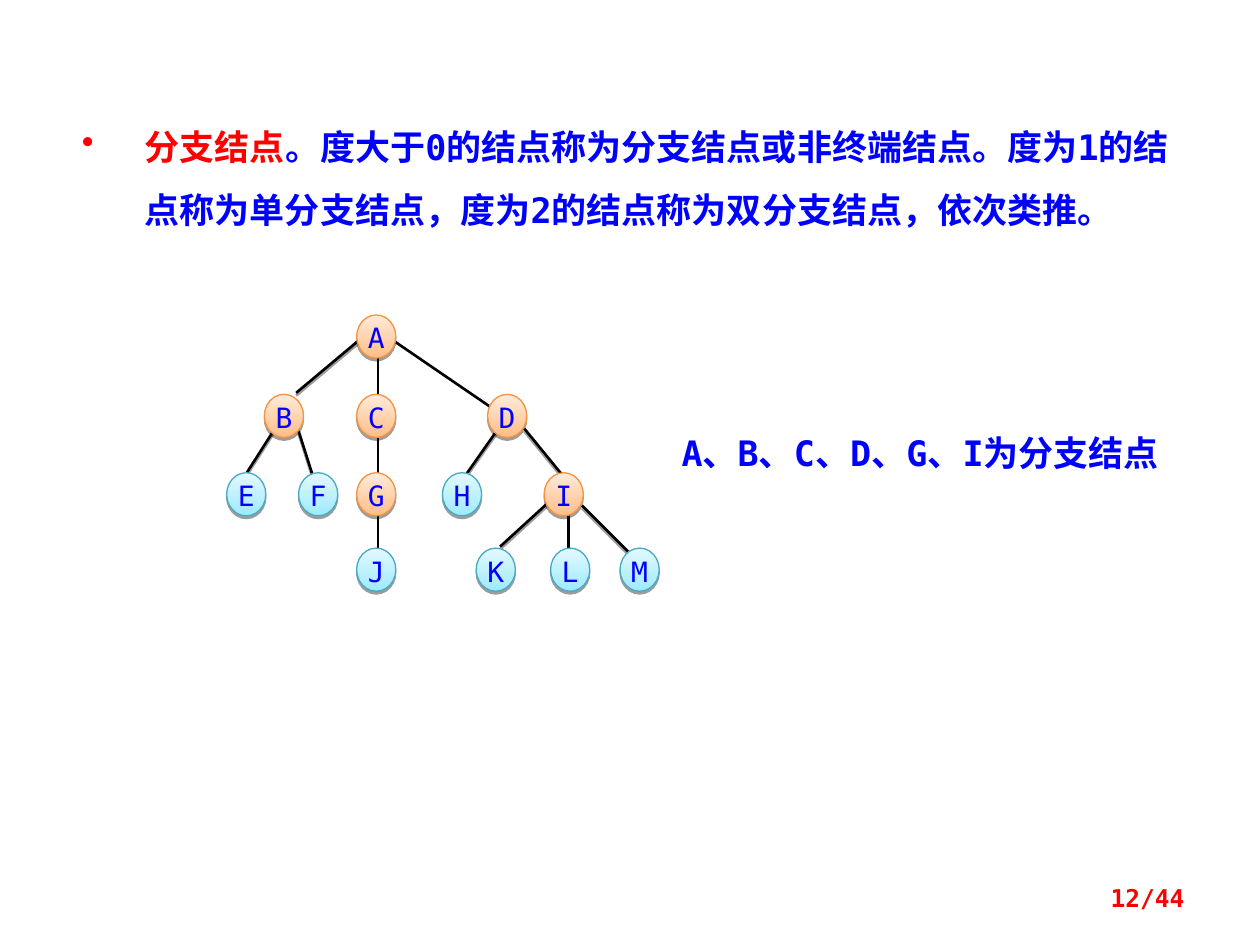
from lxml import etree
from pptx import Presentation
from pptx import util as u
from pptx.dml.color import RGBColor
from pptx.enum import shapes, text
from pptx.oxml import parse_xml
from pptx.oxml.ns import qn

# Theme
THEME = {
    "mono": "DejaVu Sans Mono", "cjk": "Noto Sans CJK SC",
    "red": "FF0000", "blue": "0000FF", "black": "000000",
    "branch": ("FFBE86", "FFEBDB", "F69240"),
    "leaf": ("9EEAFF", "E4F9FF", "46AAC5"),
    "body": 20, "node": 16, "page": 14,
}

# Content: runs are (words, colour, latin font)
RULE = [
    ("分支结点", "red", "cjk"),
    ("。度大于0的结点称为分支结点或非终端结点。度为1的结点称为单分支结点，"
     "度为2的结点称为双分支结点，依次类推。", "blue", "mono"),
]
NOTE = [("A、B、C、D、G、I为分支结点", "blue", "mono")]
PAGE = [("12/44", "red", "mono")]

# Tree, in cm: top of each level with the left edge of its nodes
LEVELS = [
    (6.35, {"A": 7.19}),
    (7.95, {"B": 5.33, "C": 7.19, "D": 9.83}),
    (9.53, {"E": 4.57, "F": 6.02, "G": 7.19, "H": 8.92, "I": 10.97}),
    (11.05, {"J": 7.19, "K": 9.6, "L": 11.1, "M": 12.5}),
]
BRANCH = "ABCDGI"
NODE = (0.79, 0.87)

# Edges: x1, y1, x2, y2 and whether a shadow is cast
EDGES = [
    (10.08, 8.59, 9.35, 9.63, True),      # D-H
    (10.57, 8.64, 11.38, 9.63, True),     # D-I
    (11.46, 10.36, 11.46, 11.18, False),  # I-L
    (11.73, 10.19, 12.67, 11.13, True),   # I-M
    (11.13, 10.06, 10.08, 11.02, True),   # I-K
    (6.02, 8.69, 6.35, 9.73, True),       # B-F
    (5.51, 8.69, 4.93, 9.6, True),        # B-E
    (7.21, 6.88, 5.97, 7.92, True),       # A-B
    (7.62, 7.14, 7.62, 11.18, False),     # A-C-G-J
    (7.95, 6.88, 9.88, 8.2, False),       # A-D
]

NS = "http://schemas.openxmlformats.org/drawingml/2006/main"
SHADE = (f'<a:effectLst xmlns:a="{NS}"><a:outerShdw blurRad="0" dist="20000" '
         'dir="5400000" rotWithShape="0"><a:srgbClr val="000000">'
         '<a:alpha val="38000"/></a:srgbClr></a:outerShdw></a:effectLst>')
BARE = f'<a:effectLst xmlns:a="{NS}"/>'


def rgb(name):
    return RGBColor.from_string(THEME.get(name, name))


def put(obj, **form):
    for key, val in form.items():
        setattr(obj, key, val)


def write(par, runs, size, bold=False):
    for words, hue, face in runs:
        run = par.add_run()
        run.text = words
        put(run.font, size=u.Pt(size), bold=bold, name=THEME[face])
        run.font.color.rgb = rgb(hue)
        east = etree.SubElement(run.font._element, qn("a:ea"))
        east.set("typeface", THEME["cjk"])


def box(slide, place, runs, size, frame, form):
    tf = slide.shapes.add_textbox(*map(u.Cm, place)).text_frame
    put(tf, word_wrap=True, **frame)
    par = tf.paragraphs[0]
    put(par, **form)
    write(par, runs, size, bold=True)
    return par


def bullet(par, mark, hue, dent):
    ppr = par._p.get_or_add_pPr()
    ppr.set("marL", str(dent))
    ppr.set("indent", str(-dent))
    tint = etree.SubElement(ppr, qn("a:buClr"))
    etree.SubElement(tint, qn("a:srgbClr")).set("val", THEME[hue])
    etree.SubElement(ppr, qn("a:buChar")).set("char", mark)


def edge(group, x1, y1, x2, y2, shade):
    line = group.shapes.add_connector(
        shapes.MSO_CONNECTOR.STRAIGHT, *map(u.Cm, (x1, y1, x2, y2)))
    line.line.color.rgb = rgb("black")
    line.line.width = u.Pt(1.5)
    line._element.spPr.append(parse_xml(SHADE if shade else BARE))


def node(group, name, left, top):
    low, high, rim = THEME["branch" if name in BRANCH else "leaf"]
    oval = group.shapes.add_shape(
        shapes.MSO_SHAPE.OVAL, *map(u.Cm, (left, top, *NODE)))
    oval.fill.gradient()
    oval.fill.gradient_angle = 90
    for stop, hue, pos in zip(oval.fill.gradient_stops, (low, high), (0, 1)):
        stop.color.rgb = rgb(hue)
        stop.position = pos
    oval.line.color.rgb = rgb(rim)
    oval.line.width = u.Pt(0.75)
    oval._element.spPr.append(parse_xml(SHADE))
    tf = oval.text_frame
    put(tf, margin_left=0, margin_right=0, margin_top=0, margin_bottom=0,
        vertical_anchor=text.MSO_ANCHOR.TOP)
    par = tf.paragraphs[0]
    put(par, alignment=text.PP_ALIGN.CENTER, line_spacing=u.Pt(19))
    write(par, [(name, "blue", "mono")], THEME["node"])


def main():
    deck = Presentation()
    put(deck, slide_width=u.Cm(25.4), slide_height=u.Cm(19.05))
    slide = deck.slides.add_slide(deck.slide_layouts[6])
    grow = {"auto_size": text.MSO_AUTO_SIZE.SHAPE_TO_FIT_TEXT}

    # Definition and remark
    par = box(slide, (1.4, 1.98, 22.63, 2.79), RULE, THEME["body"],
              grow, {"line_spacing": 1.5})
    bullet(par, "•", "red", u.Cm(1.27))
    box(slide, (13.49, 8.74, 10.31, 1.63), NOTE, THEME["body"],
        grow, {"line_spacing": 0.8})

    # Tree: edges lie behind the nodes
    tree = slide.shapes.add_group_shape()
    for ends in EDGES:
        edge(tree, *ends)
    for top, row in LEVELS:
        for name, left in row.items():
            node(tree, name, left, top)

    # Page number
    box(slide, (18.21, 17.65, 5.92, 1.02), PAGE, THEME["page"],
        {"vertical_anchor": text.MSO_ANCHOR.MIDDLE},
        {"alignment": text.PP_ALIGN.RIGHT, "line_spacing": 0.8})
    deck.save("out.pptx")


if __name__ == "__main__":
    main()
